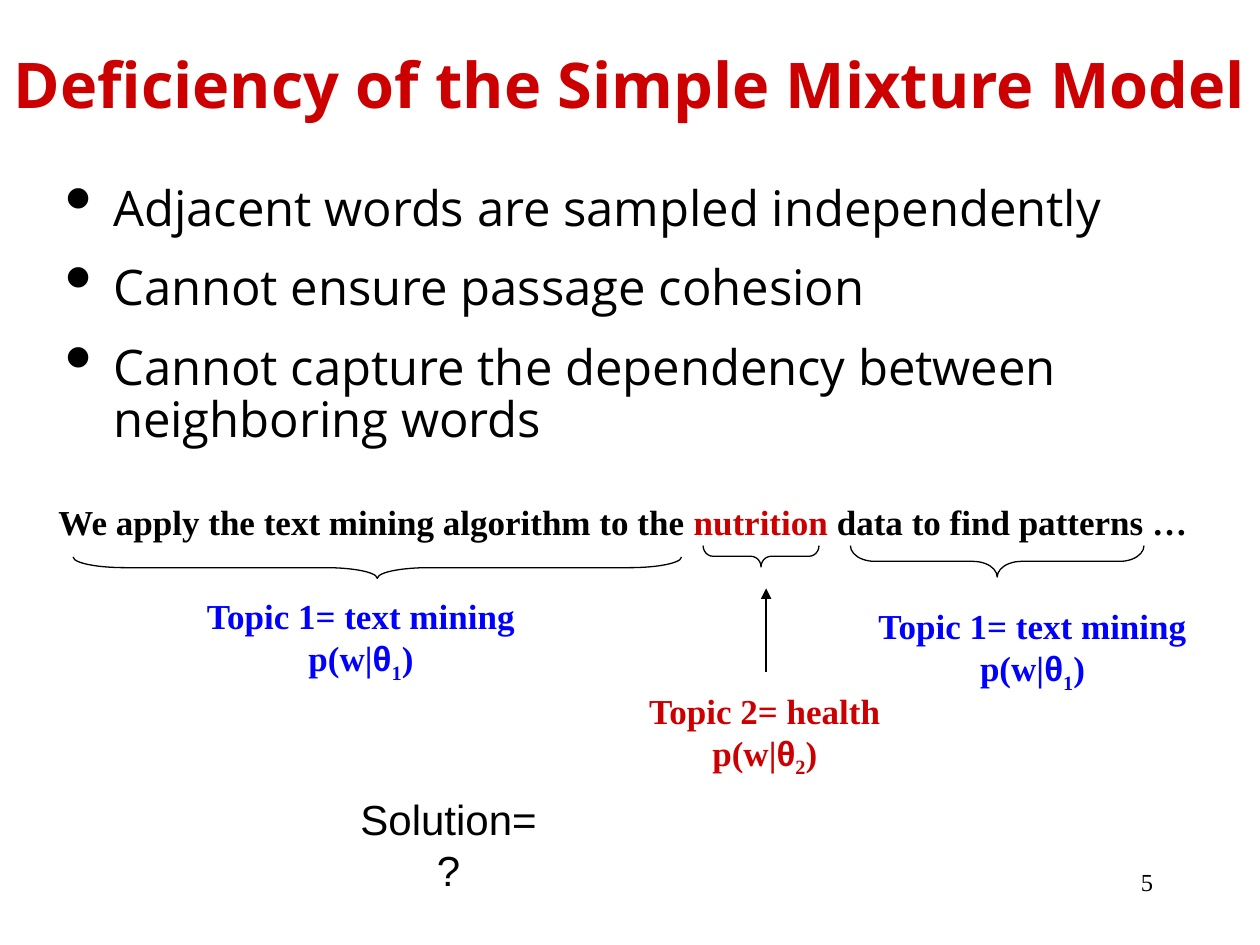
"""Build the slide on the deficiency of the simple mixture model."""
from lxml import etree
from pptx import Presentation
from pptx.dml.color import RGBColor
from pptx.enum.shapes import MSO_CONNECTOR, MSO_SHAPE
from pptx.enum.text import MSO_ANCHOR, PP_ALIGN
from pptx.oxml.ns import qn
from pptx.util import Inches, Pt

CENTER, RIGHT = PP_ALIGN.CENTER, PP_ALIGN.RIGHT
MIDDLE = MSO_ANCHOR.MIDDLE
LEFT_BRACE, STRAIGHT = MSO_SHAPE.LEFT_BRACE, MSO_CONNECTOR.STRAIGHT
SANS, SERIF, PLAIN = "Open Sans", "Times New Roman", "Arial"
BLACK, RED, BLUE = "000000", "CC0000", "0000FF"


def style(font, name, size, color, bold=False):
    font.name, font.size, font.bold = name, Pt(size), bold
    font.color.rgb = RGBColor.from_string(color)


def add_text(page, area, lines, name, size, color, bold=False, align=CENTER, wrap=False):
    box = page.shapes.add_textbox(*map(Inches, area))
    box.text_frame.word_wrap = wrap
    box.text_frame.text = "\n".join(lines)
    for para in box.text_frame.paragraphs:
        para.alignment = align
        style(para.font, name, size, color, bold)
    return box.text_frame.paragraphs


deck = Presentation()
deck.slide_width, deck.slide_height = Inches(10), Inches(7.5)
page = deck.slides.add_slide(deck.slide_layouts[5])

title = page.shapes.title
title.left, title.top, title.width, title.height = map(Inches, (0, 0.08, 10, 1.17))
title.text_frame.text = "Deficiency of the Simple Mixture Model"
title.text_frame.vertical_anchor = MIDDLE
title.text_frame.paragraphs[0].alignment = CENTER
style(title.text_frame.paragraphs[0].font, SANS, 36, RED, True)

points = [
    "Adjacent words are sampled independently",
    "Cannot ensure passage cohesion",
    "Cannot capture the dependency between neighboring words",
]
bullets = add_text(page, (0.42, 1.42, 9.25, 4.92), points, SANS, 28, BLACK, align=None, wrap=True)
for index, para in enumerate(bullets):
    properties = para._p.get_or_add_pPr()
    properties.set("marL", str(Inches(0.38)))
    properties.set("indent", str(-Inches(0.38)))
    size = etree.Element(qn("a:buSzPct"), val="160000")
    mark = etree.Element(qn("a:buChar"), char="•")
    properties.insert(0, size)
    properties.insert(1, mark)
    para.line_spacing = 0.88
    para.space_before = Pt(15.8 if index else 0)
    style(para.font, SANS, 28, BLACK)

sentence = add_text(page, (0.36, 3.92, 9.17, 0.44), [""], SERIF, 20, BLACK, True)[0]
for words, color in [
    ("We apply the text mining algorithm to the", BLACK),
    (" nutrition", RED),
    (" data to find patterns …", BLACK),
]:
    span = sentence.add_run()
    span.text = words
    span.font.color.rgb = RGBColor.from_string(color)

for left, top, length, depth, curve in [
    (0.58, 4.42, 4.83, 0.17, 2.42),
    (5.58, 4.33, 0.92, 0.17, 0.47),
    (6.75, 4.33, 2.33, 0.25, 0.77),
]:
    shift = (length - depth) / 2
    brace = page.shapes.add_shape(
        LEFT_BRACE, *map(Inches, (left + shift, top - shift, depth, length)))
    brace.rotation = 270
    brace.adjustments[0] = curve
    brace.shadow.inherit = False
    brace.fill.background()
    brace.line.color.rgb = RGBColor.from_string(BLACK)
    brace.line.width = Pt(0.75)

for left, top, width, topic, number, color in [
    (1.53, 4.67, 2.67, "Topic 1= text mining", "1", BLUE),
    (6.86, 4.75, 2.67, "Topic 1= text mining", "1", BLUE),
    (5.04, 5.42, 2.06, "Topic 2= health", "2", RED),
]:
    formula = add_text(page, (left, top, width, 0.82), [topic, ""], SERIF, 20, color, True)[1]
    for words in ("p(w|", "θ", number, ")"):
        span = formula.add_run()
        span.text = words
        if words == "θ":
            span.font.name = PLAIN
        elif words == number:
            span.font._element.set("baseline", "-25000")

arrow = page.shapes.add_connector(STRAIGHT, *map(Inches, (6.08, 5.33, 6.08, 4.67)))
arrow.line.color.rgb = RGBColor.from_string(BLACK)
arrow.line.width = Pt(0.75)
etree.SubElement(arrow.line._get_or_add_ln(), qn("a:tailEnd"), type="triangle")
etree.SubElement(arrow._element.spPr, qn("a:effectLst"))

add_text(page, (2.67, 6.25, 1.78, 0.5), ["Solution=?"], PLAIN, 24, BLACK)
add_text(page, (7.17, 6.83, 2.08, 0.5), ["5"], SERIF, 14, BLACK, align=RIGHT, wrap=True)

deck.save("out.pptx")
